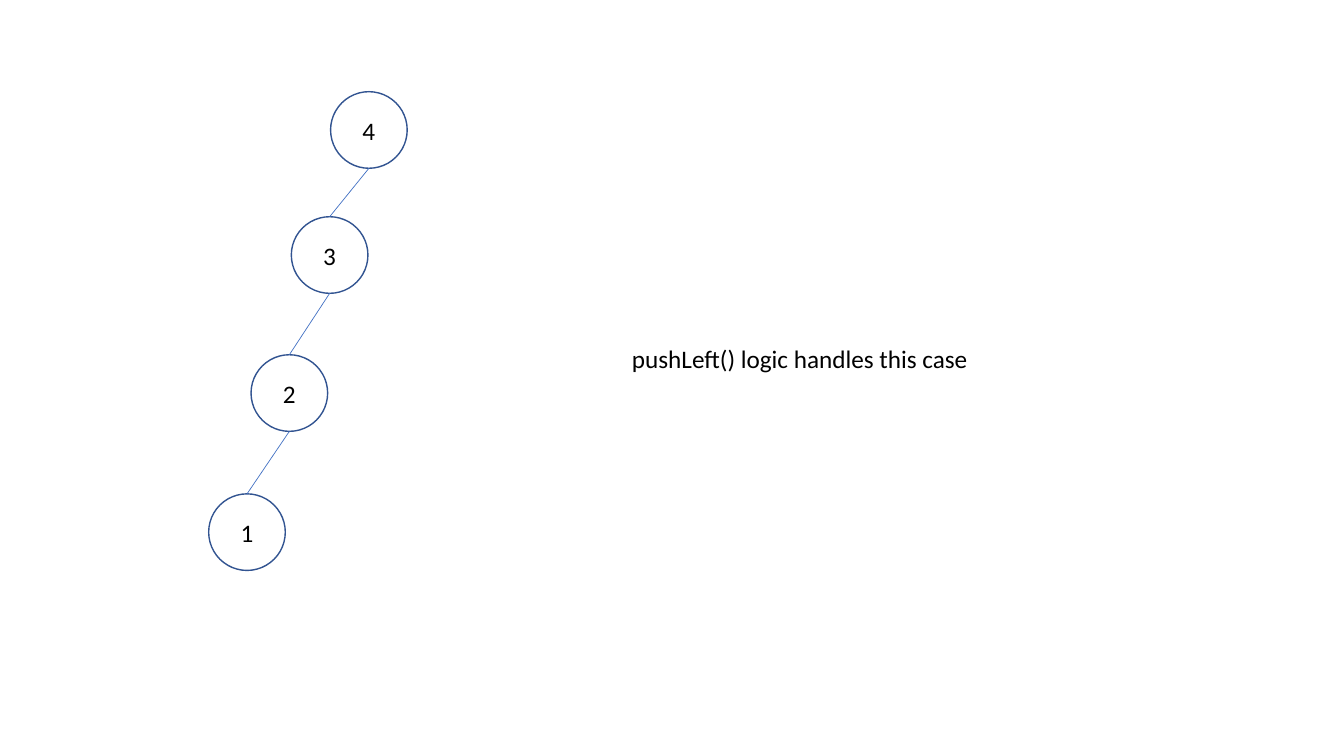
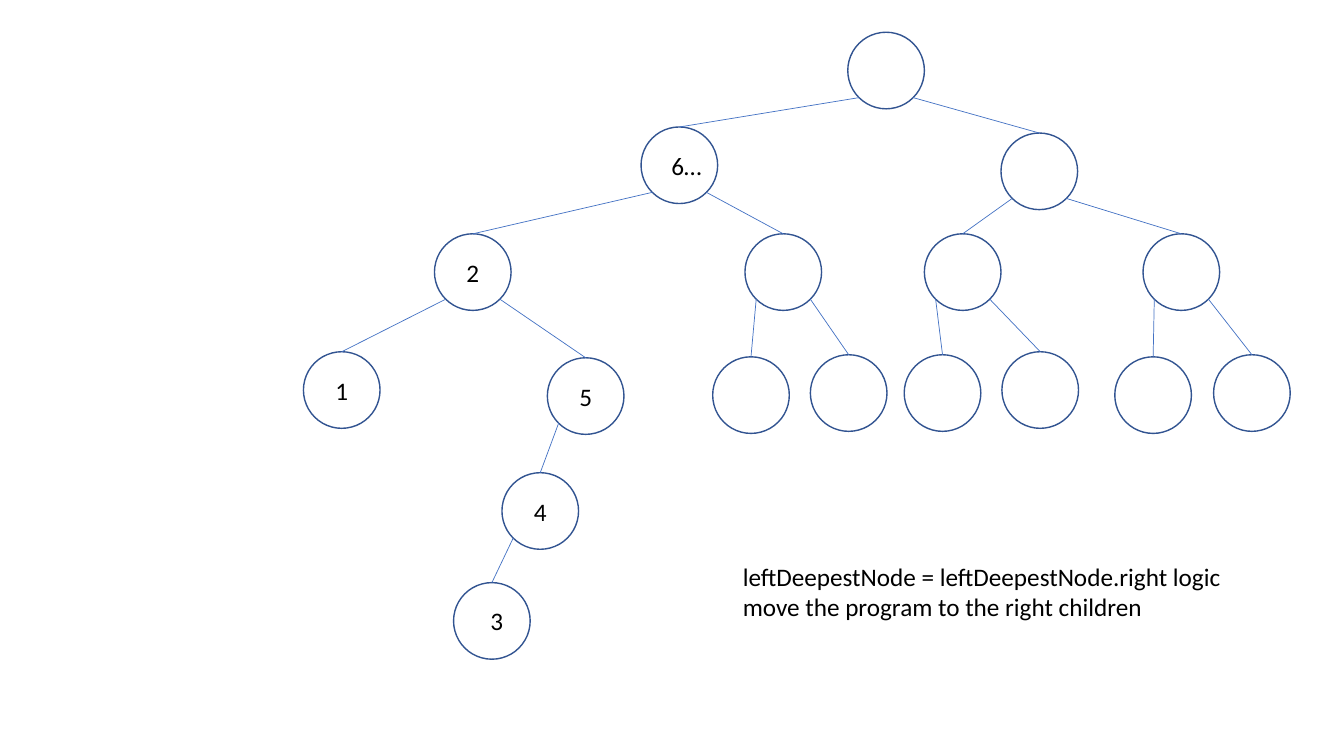
from math import sqrt
from lxml.etree import SubElement
from pptx import Presentation
from pptx.dml.color import RGBColor
from pptx.enum.shapes import MSO_CONNECTOR as Link, MSO_SHAPE as Form
from pptx.enum.text import MSO_ANCHOR as Anchor, MSO_AUTO_SIZE as Fit, PP_ALIGN as Align
from pptx.oxml.ns import qn
from pptx.util import Inches, Pt

RING, EDGE, INK = "325491", "4472C4", "000000"
FONT = {"size": Pt(18), "name": "Calibri"}
LABEL = {"word_wrap": False, "vertical_anchor": Anchor.MIDDLE, "margin_left": 0,
         "margin_right": 0, "margin_top": 0, "margin_bottom": 0}
NOTE = {"word_wrap": False, "auto_size": Fit.SHAPE_TO_FIT_TEXT}

# Node: left %, top %, label, label shift in inches, parent, side of parent
CHAIN = [
    (24.6, 12.13, "4", 0, None, 0),
    (21.68, 28.67, "3", 0, 0, 0),
    (18.68, 46.93, "2", 0, 1, 0),
    (15.53, 65.33, "1", 0, 2, 0),
]
TREE = [
    (63.08, 4.27, "", 0, None, 0),
    (47.7, 16.8, "6…", 0.07, 0, -1),
    (74.48, 17.6, "", 0, 0, 1),
    (32.33, 30.93, "2", 0, 1, -1),
    (55.43, 30.93, "", 0, 1, 1),
    (68.78, 30.93, "", 0, 2, -1),
    (85.05, 30.93, "", 0, 2, 1),
    (22.58, 46.53, "1", 0, 3, -1),
    (40.73, 47.33, "5", 0, 3, 1),
    (53.03, 47.2, "", 0, 4, -1),
    (60.3, 46.93, "", 0, 4, 1),
    (67.28, 46.93, "", 0, 5, -1),
    (74.55, 46.53, "", 0, 5, 1),
    (82.95, 47.2, "", 0, 6, -1),
    (90.3, 46.93, "", 0, 6, 1),
    (37.35, 62.53, "4", 0, 8, -1),
    (33.75, 77.07, "3", 0.05, 15, -1),
]
PAGES = [
    (CHAIN, (46.28, 44.8, 26.85, 5.33), ["pushLeft() logic handles this case"]),
    (TREE, (54.53, 73.6, 38.03, 9.47),
     ["leftDeepestNode = leftDeepestNode.right logic",
      "move the program to the right children"]),
]


def paint(color, tone):
    color.rgb = RGBColor.from_string(tone)


def style(frame, look, lines, align):
    for key, val in look.items():
        setattr(frame, key, val)
    frame.text = "\n".join(lines)
    for para in frame.paragraphs:
        para.alignment = align
        for key, val in FONT.items():
            setattr(para.font, key, val)
        paint(para.font.color, INK)


deck = Presentation()
deck.slide_width, deck.slide_height = Inches(13.33), Inches(7.5)
col, row = deck.slide_width / 100, deck.slide_height / 100
size = int(5.7 * col)
half = size // 2

for nodes, spot, lines in PAGES:
    slide = deck.slides.add_slide(deck.slide_layouts[6])
    rings = []
    for x, y, label, shift, parent, side in nodes:
        ring = slide.shapes.add_shape(Form.OVAL, int(x * col), int(y * row), size, size)
        ring.shadow.inherit = False
        ring.fill.background()
        ring.line.width = Pt(1)
        paint(ring.line.color, RING)
        if label:
            style(ring.text_frame, LABEL, [label], Align.CENTER)
            ring.text_frame.margin_left = Inches(2 * shift)
        rings.append(ring)
        if parent is None:
            continue
        base = rings[parent]
        drop = half / sqrt(2) if side else half
        edge = slide.shapes.add_connector(
            Link.STRAIGHT, int(base.left + half + side * drop),
            int(base.top + half + drop), ring.left + half, ring.top)
        edge.end_connect(ring, 0)
        edge.line.width = Pt(0.5)
        paint(edge.line.color, EDGE)
        SubElement(edge._element.spPr, qn("a:effectLst"))
    x, y, w, h = spot
    note = slide.shapes.add_textbox(int(x * col), int(y * row), int(w * col), int(h * row))
    style(note.text_frame, NOTE, lines, Align.LEFT)

deck.save("out.pptx")
